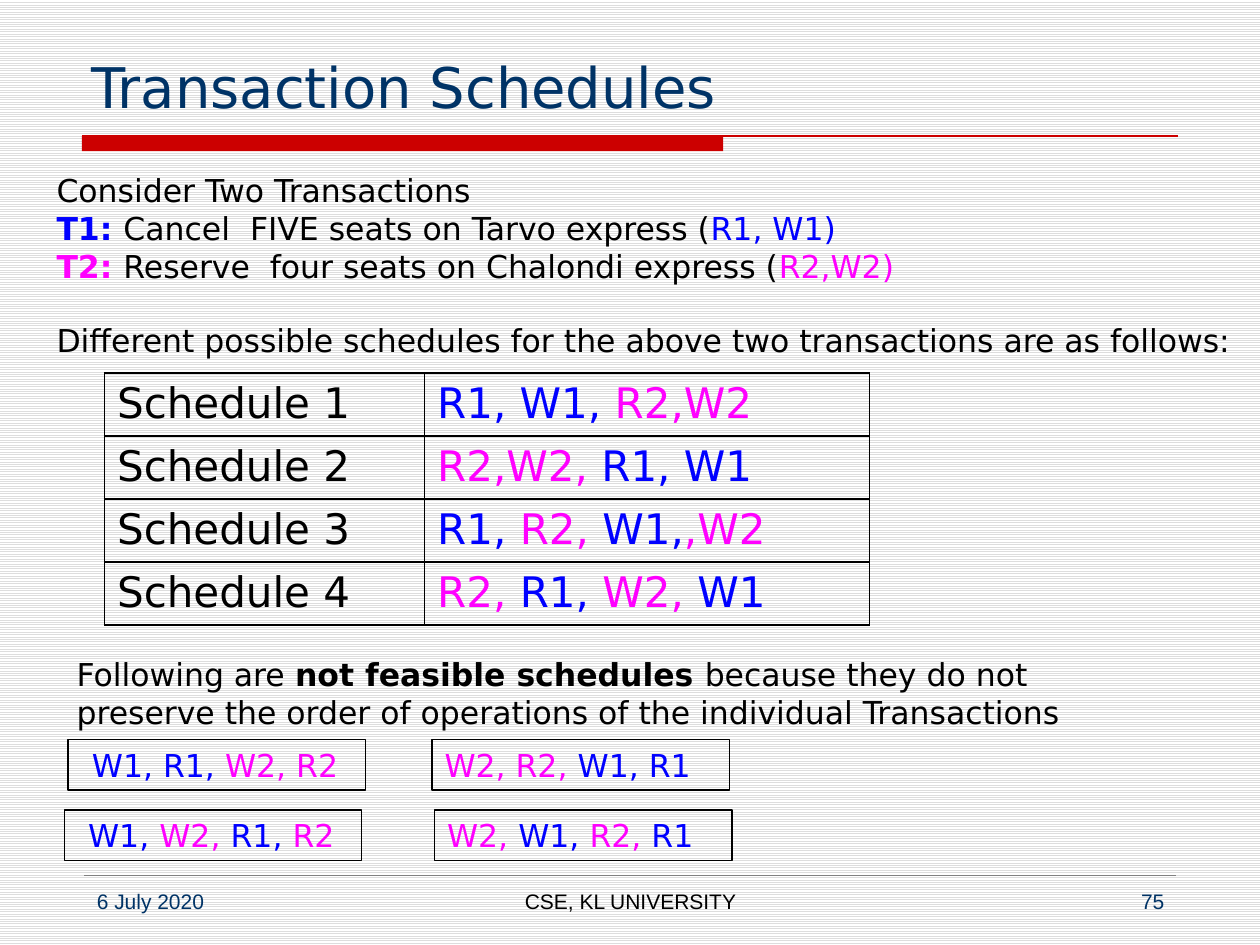
"""Build a slide on the feasible and infeasible schedules of two transactions."""
import dataclasses

import pptx
import pptx.dml.color
import pptx.enum.dml
import pptx.enum.shapes
import pptx.enum.text
import pptx.oxml
import pptx.oxml.ns
import pptx.util

ALIGN = pptx.enum.text.PP_ALIGN
MID = pptx.enum.text.MSO_ANCHOR.MIDDLE
COLS, ROWS = 100, 75


@dataclasses.dataclass(frozen=True)
class Theme:
    """Hold the colours, fonts and type sizes."""
    ink: str = "000000"
    navy: str = "003366"
    red: str = "CC0000"
    gray: str = "808080"
    one: str = "0000FF"
    two: str = "FF00FF"
    stripe: str = "DDDDDD"
    paper: str = "FFFFFF"
    main: str = "DejaVu Sans"
    small: str = "Arial"
    head: int = 32
    grid: int = 24
    body: int = 18
    foot: int = 12


THEME = Theme()
WIDE, HIGH = pptx.util.Inches(10), pptx.util.Inches(7.5)


def area(left, top, wide, high):
    """Turn columns and rows of the slide grid into lengths."""
    return (int(left * WIDE / COLS), int(top * HIGH / ROWS),
            int(wide * WIDE / COLS), int(high * HIGH / ROWS))


def tint(code):
    """Turn a hex code into a colour."""
    return pptx.dml.color.RGBColor.from_string(code)


def steps(text):
    """Split operations at bars and colour each part by its transaction."""
    return [(part, THEME.one if "1" in part else THEME.two, False)
            for part in text.split("|")]


def plain(text, color=THEME.ink, bold=False):
    """Make a line of one run."""
    return [(text, color, bold)]


def write(frame, lines, size=THEME.body, font=THEME.main, align=ALIGN.LEFT,
          anchor=pptx.enum.text.MSO_ANCHOR.TOP, gaps=None):
    """Fill a text frame with lines of coloured runs."""
    frame.word_wrap = True
    frame.vertical_anchor = anchor
    for pos, line in enumerate(lines):
        para = frame.add_paragraph() if pos else frame.paragraphs[0]
        para.alignment = align
        if gaps and pos in gaps:
            para.space_before = pptx.util.Pt(gaps[pos])
        for text, color, bold in line:
            run = para.add_run()
            run.text = text
            run.font.name = font
            run.font.size = pptx.util.Pt(size)
            run.font.bold = bold
            run.font.color.rgb = tint(color)


def label(slide, place, lines, **form):
    """Add a text box."""
    write(slide.shapes.add_textbox(*area(*place)).text_frame, lines, **form)


def rule(slide, left, right, row, color, weight):
    """Add a level line."""
    start, top, span, _ = area(left, row, right - left, 0)
    line = slide.shapes.add_connector(
        pptx.enum.shapes.MSO_CONNECTOR.STRAIGHT, start, top, start + span, top)
    line.line.color.rgb = tint(color)
    line.line.width = pptx.util.Pt(weight)
    props = line._element.spPr
    props.append(pptx.oxml.parse_xml(
        f'<a:effectLst {pptx.oxml.ns.nsdecls("a")}/>'))


def block(slide, place, fill=None, edge=None):
    """Add a flat rectangle."""
    shape = slide.shapes.add_shape(
        pptx.enum.shapes.MSO_SHAPE.RECTANGLE, *area(*place))
    shape.shadow.inherit = False
    if fill:
        shape.fill.solid()
        shape.fill.fore_color.rgb = tint(fill)
    else:
        shape.fill.background()
    if edge:
        shape.line.color.rgb = tint(edge)
        shape.line.width = pptx.util.Pt(0.75)
    else:
        shape.line.fill.background()
    return shape


def border(cell):
    """Draw all four sides of a cell."""
    props = cell._tc.get_or_add_tcPr()
    for pos, side in enumerate(("lnL", "lnR", "lnT", "lnB")):
        props.insert(pos, pptx.oxml.parse_xml(
            f'<a:{side} {pptx.oxml.ns.nsdecls("a")} w="12700"><a:solidFill>'
            f'<a:srgbClr val="{THEME.ink}"/></a:solidFill></a:{side}>'))


def chart(slide, place, plans, widths):
    """Add the table of feasible schedules."""
    table = slide.shapes.add_table(len(plans), 2, *area(*place)).table
    table.first_row = table.horz_banding = False
    for col, wide in zip(table.columns, widths):
        col.width = area(0, 0, wide, 0)[2]
    for row, plan in enumerate(plans):
        lines = plain(f"Schedule {row + 1}"), steps(plan)
        for col, line in enumerate(lines):
            cell = table.cell(row, col)
            cell.fill.background()
            border(cell)
            write(cell.text_frame, [line], size=THEME.grid)


def main():
    """Build and save the slide."""
    deck = pptx.Presentation()
    deck.slide_width, deck.slide_height = WIDE, HIGH
    slide = deck.slides.add_slide(deck.slide_layouts[6])
    back = slide.background.fill
    back.patterned()
    back.pattern = pptx.enum.dml.MSO_PATTERN.LIGHT_HORIZONTAL
    back.fore_color.rgb = tint(THEME.stripe)
    back.back_color.rgb = tint(THEME.paper)

    block(slide, (6.5, 10.8, 50.9, 1.2), fill=THEME.red)
    rule(slide, 6.5, 93.5, 10.8, THEME.red, 0.75)
    rule(slide, 6.7, 93.3, 69.5, THEME.gray, 0.25)
    label(slide, (6.3, 1.7, 87.5, 8.3),
          [plain("Transaction Schedules", THEME.navy)], size=THEME.head,
          anchor=pptx.enum.text.MSO_ANCHOR.BOTTOM)

    label(slide, (3.5, 13.1, 96.5, 16.2), [
        plain("Consider Two Transactions"),
        plain("T1: ", THEME.one, True)
        + plain("Cancel  FIVE seats on Tarvo express (") + steps("R1, W1)"),
        plain("T2: ", THEME.two, True)
        + plain("Reserve  four seats on Chalondi express (")
        + steps("R2,W2)"),
        plain("Different possible schedules for the above two transactions "
              "are as follows:")], gaps={3: 21})

    chart(slide, (8.3, 29.6, 60.7, 19.6),
          ("R1, W1, |R2,W2", "R2,W2, |R1, W1",
           "R1, |R2, |W1,|,W2", "R2, |R1, |W2, |W1"), (25.4, 35.3))

    label(slide, (5.1, 51.5, 82, 7.1), [
        plain("Following are ")
        + plain("not feasible schedules ", bold=True)
        + plain("because they do not"),
        plain("preserve the order of operations of the individual "
              "Transactions")])
    for left, top, inset, plan in (
            (5.4, 58.7, 1.9, "W1, R1, |W2, R2"),
            (34.3, 58.7, 1, "W2, R2, |W1, R1"),
            (5.1, 64.3, 1.9, "W1, |W2, |R1, |R2"),
            (34.5, 64.3, 1, "W2, |W1, |R2, |R1")):
        frame = block(slide, (left, top, 23.6, 4), edge=THEME.ink).text_frame
        frame.margin_left = area(inset, 0, 0, 0)[0]
        write(frame, [steps(plan)], anchor=MID)

    for left, wide, text, color, align in (
            (6.7, 21.7, "6 July 2020", THEME.navy, ALIGN.LEFT),
            (34.2, 31.7, "CSE, KL UNIVERSITY", THEME.ink, ALIGN.CENTER),
            (71.7, 21.7, "75", THEME.navy, ALIGN.RIGHT)):
        label(slide, (left, 70, wide, 3.5), [plain(text, color)],
              size=THEME.foot, font=THEME.small, align=align)
    deck.save("out.pptx")


if __name__ == "__main__":
    main()
